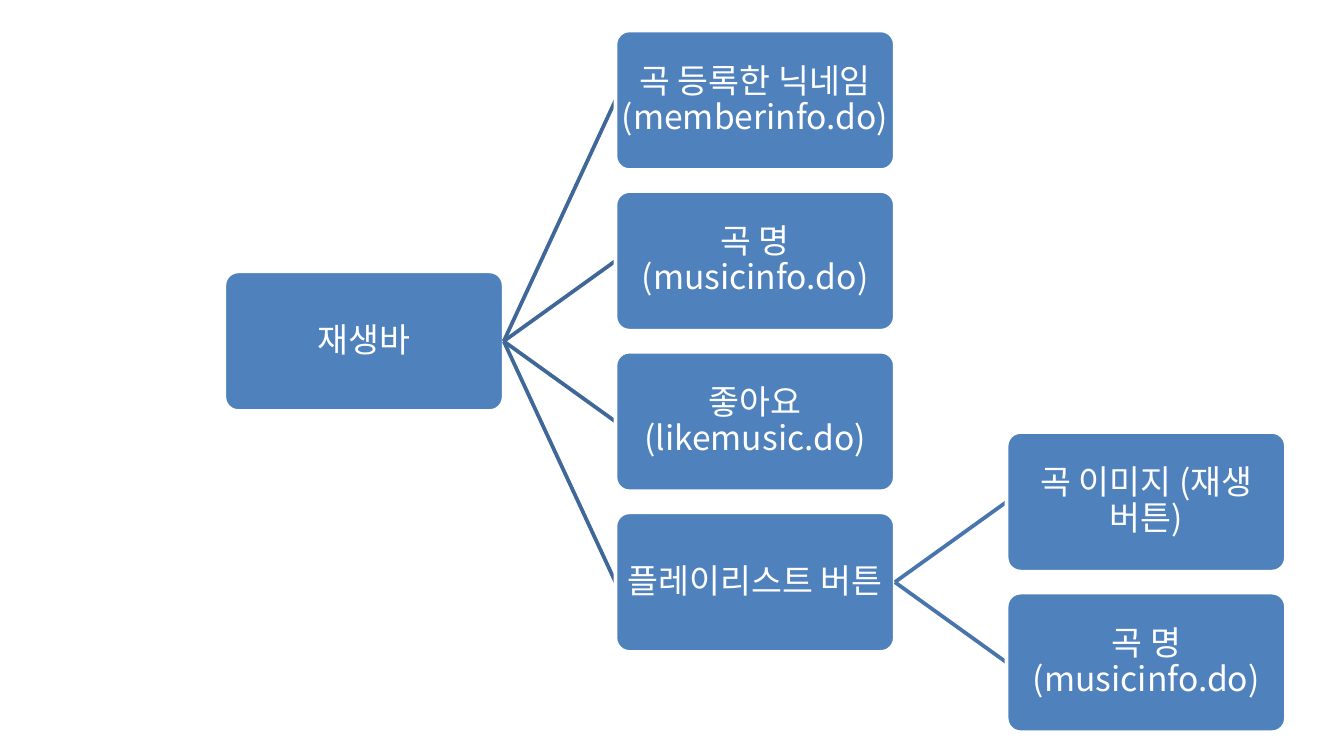
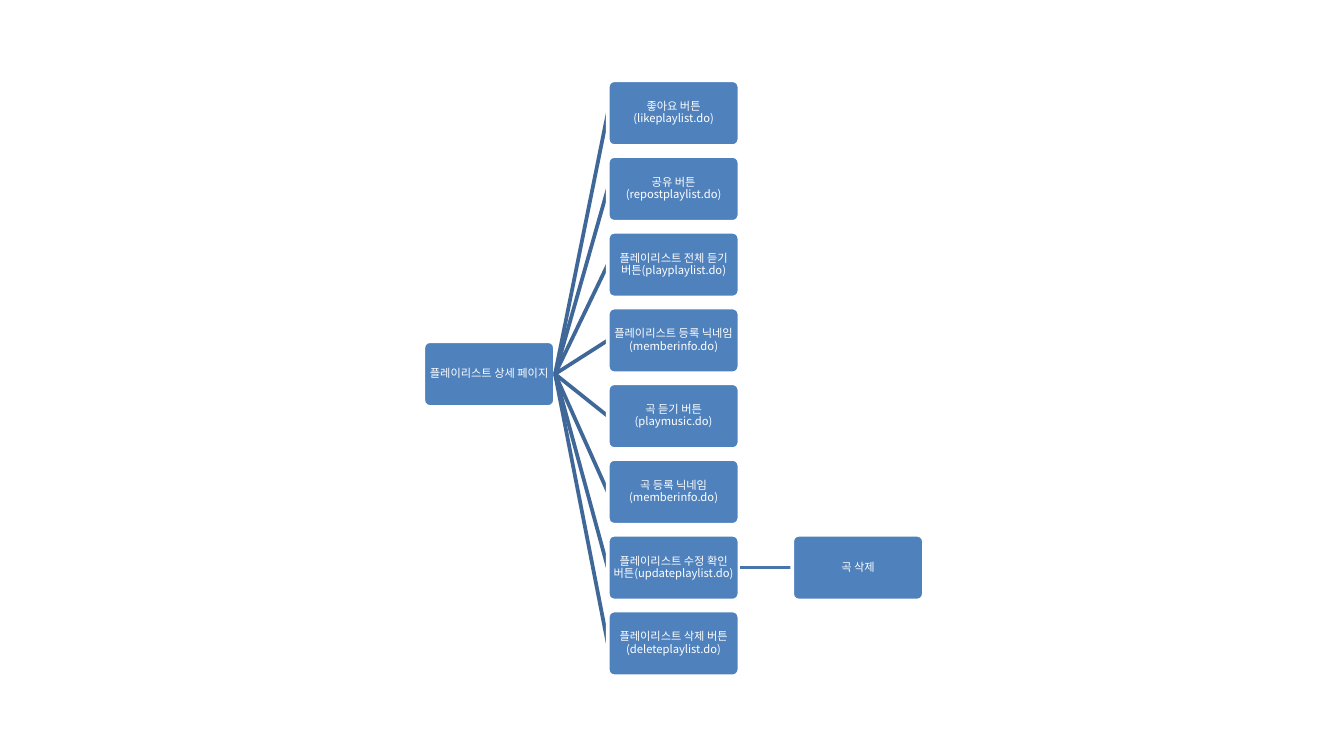
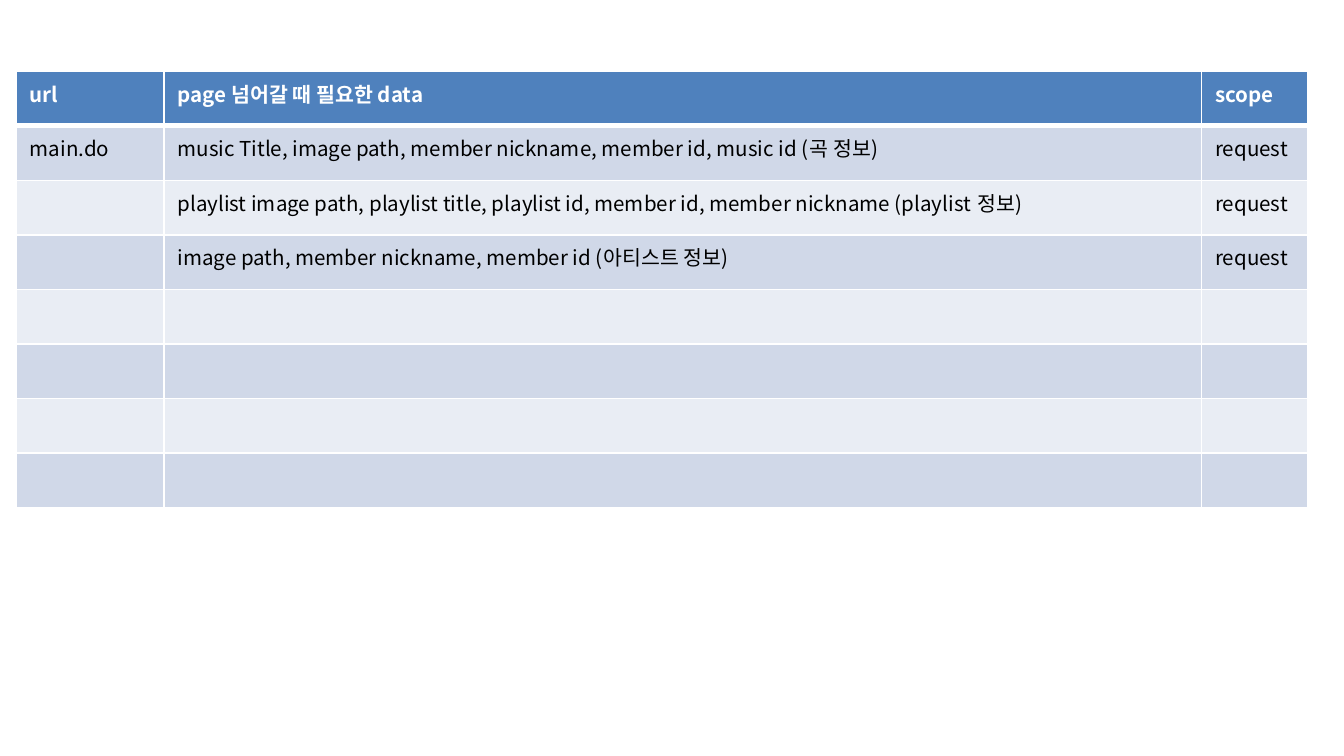
from lxml import etree
from pptx import Presentation
from pptx.dml.color import RGBColor
from pptx.enum.shapes import MSO_CONNECTOR, MSO_SHAPE
from pptx.enum.text import MSO_ANCHOR, PP_ALIGN
from pptx.oxml.ns import qn
from pptx.util import Cm, Pt

ROUND = MSO_SHAPE.ROUNDED_RECTANGLE
STRAIGHT = MSO_CONNECTOR.STRAIGHT
MIDDLE = MSO_ANCHOR.MIDDLE
LEFT, CENTER = PP_ALIGN.LEFT, PP_ALIGN.CENTER

FONT = "Noto Sans CJK KR"
BLUE, WHITE, BLACK = "4F81BD", "FFFFFF", "000000"
LINES = ["3F6797", "4875AC"]  # one colour per tree level
BANDS = ["D0D8E8", "E9EDF4"]


def color(code):
    """Turn a hex string into a colour."""
    return RGBColor.from_string(code)


def write(frame, text, size=11, tint=BLACK, bold=False, align=LEFT, space=1.0):
    """Put one formatted paragraph into a text frame."""
    para = frame.paragraphs[0]
    para.alignment = align
    para.line_spacing = space
    if not text:
        end = etree.SubElement(para._p, qn("a:endParaRPr"))
        end.set("sz", str(size * 100))
        return
    run = para.add_run()
    run.text = text
    font = run.font
    font.name, font.size, font.bold = FONT, Pt(size), bold
    font.color.rgb = color(tint)
    asian = etree.SubElement(run._r.get_or_add_rPr(), qn("a:ea"))
    asian.set("typeface", FONT)


def edge(cell, side, width):
    """Add a white border to one side of a cell, before its fill is set."""
    line = etree.SubElement(cell._tc.get_or_add_tcPr(), qn("a:ln" + side))
    line.set("w", str(Pt(width)))
    fill = etree.SubElement(line, qn("a:solidFill"))
    etree.SubElement(fill, qn("a:srgbClr")).set("val", WHITE)


class Deck:
    """Hold the presentation, the current slide and the tree style."""

    def __init__(self):
        """Start an empty deck."""
        self.file = Presentation()
        self.file.slide_width = Cm(25.4)
        self.file.slide_height = Cm(14.29)

    def page(self):
        """Add a blank slide and make it current."""
        self.slide = self.file.slides.add_slide(self.file.slide_layouts[6])

    def scale(self, wide, size, inset):
        """Set the box width, text size and inset; the gaps follow."""
        self.wide, self.high = wide, wide / 2
        self.step, self.pitch = wide * 1.4, wide * 0.575
        self.size, self.inset = size, inset

    def box(self, left, mid, text):
        """Draw a rounded box centred on the height mid."""
        shape = self.slide.shapes.add_shape(
            ROUND, Cm(left), Cm(mid - self.high / 2), Cm(self.wide), Cm(self.high))
        shape.adjustments[0] = 0.1
        shape.shadow.inherit = False
        shape.fill.solid()
        shape.fill.fore_color.rgb = color(BLUE)
        shape.line.color.rgb = color(WHITE)
        shape.line.width = Pt(2)
        frame = shape.text_frame
        frame.word_wrap = True
        frame.vertical_anchor = MIDDLE
        frame.margin_left = frame.margin_right = Cm(self.inset)
        frame.margin_top = frame.margin_bottom = Cm(self.inset)
        write(frame, text, size=self.size, tint=WHITE, align=CENTER, space=0.9)

    def link(self, start, end, tint):
        """Draw a line between two points."""
        line = self.slide.shapes.add_connector(
            STRAIGHT, *[Cm(n) for n in (*start, *end)])
        line.line.color.rgb = color(tint)
        line.line.width = Pt(2)
        etree.SubElement(line._element.spPr, qn("a:effectLst"))

    def tree(self, left, mid, node, level=0, drop=0):
        """Draw a node and its children, stacked evenly around it."""
        text, kids = node
        self.box(left, mid, text)
        first = mid + drop - self.pitch * (len(kids) - 1) / 2
        for i, kid in enumerate(kids):
            spot = first + i * self.pitch
            self.link((left + self.wide, mid), (left + self.step, spot),
                      LINES[level])
            self.tree(left + self.step, spot, kid, level + 1)

    def table(self, left, top, cols, high, rows, tall):
        """Draw a banded table; empty rows listed in tall keep large type."""
        grid = self.slide.shapes.add_table(
            len(rows), len(cols), Cm(left), Cm(top),
            Cm(sum(cols)), Cm(high * len(rows))).table
        for col, wide in zip(grid.columns, cols):
            col.width = Cm(wide)
        for r, row in enumerate(rows):
            grid.rows[r].height = Cm(high)
            head = r == 0
            for c, text in enumerate(row):
                cell = grid.cell(r, c)
                widths = {"L": 1, "R": 1, "T": 3 if r == 1 else 1,
                          "B": 3 if head else 1}
                for side, width in widths.items():
                    edge(cell, side, width)
                cell.fill.solid()
                cell.fill.fore_color.rgb = color(BLUE if head else BANDS[(r - 1) % 2])
                write(cell.text_frame, text, size=18 if r in tall else 11,
                      tint=WHITE if head else BLACK, bold=head)


def leaves(*texts):
    """Make childless nodes."""
    return [(text, []) for text in texts]


deck = Deck()

# Play bar
deck.page()
deck.scale(5.28, 18, 0.03)
player = ("재생바", [
    *leaves("곡 등록한 닉네임 (memberinfo.do)",
            "곡 명 (musicinfo.do)",
            "좋아요 (likemusic.do)"),
    ("플레이리스트 버튼", leaves("곡 이미지 (재생 버튼)",
                          "곡 명 (musicinfo.do)")),
])
deck.tree(4.24, 6.45, player)

# Playlist detail page
deck.page()
deck.scale(2.49, 6, 0)
detail = ("플레이리스트 상세 페이지", [
    *leaves("좋아요 버튼(likeplaylist.do)",
            "공유 버튼(repostplaylist.do)",
            "플레이리스트 전체 듣기 버튼(playplaylist.do)",
            "플레이리스트 등록 닉네임(memberinfo.do)",
            "곡 듣기 버튼 (playmusic.do)",
            "곡 등록 닉네임(memberinfo.do)"),
    ("플레이리스트 수정 확인 버튼(updateplaylist.do)", leaves("곡 삭제")),
    *leaves("플레이리스트 삭제 버튼 (deleteplaylist.do)"),
])
deck.tree(8, 7.07, detail, drop=0.08)

# Data needed by each page
deck.page()
rows = [
    ("url", "page 넘어갈 때 필요한 data", "scope"),
    ("main.do", "music Title, image path, member nickname, member id, "
     "music id (곡 정보)", "request"),
    ("", "playlist image path, playlist title, playlist id, member id, "
     "member nickname (playlist 정보)", "request"),
    ("", "image path, member nickname, member id (아티스트 정보)", "request"),
    *[("", "", "")] * 4,
]
deck.table(0.31, 1.35, [2.79, 19.61, 2.01], 1.03, rows, tall=(4, 5))

deck.file.save("out.pptx")
